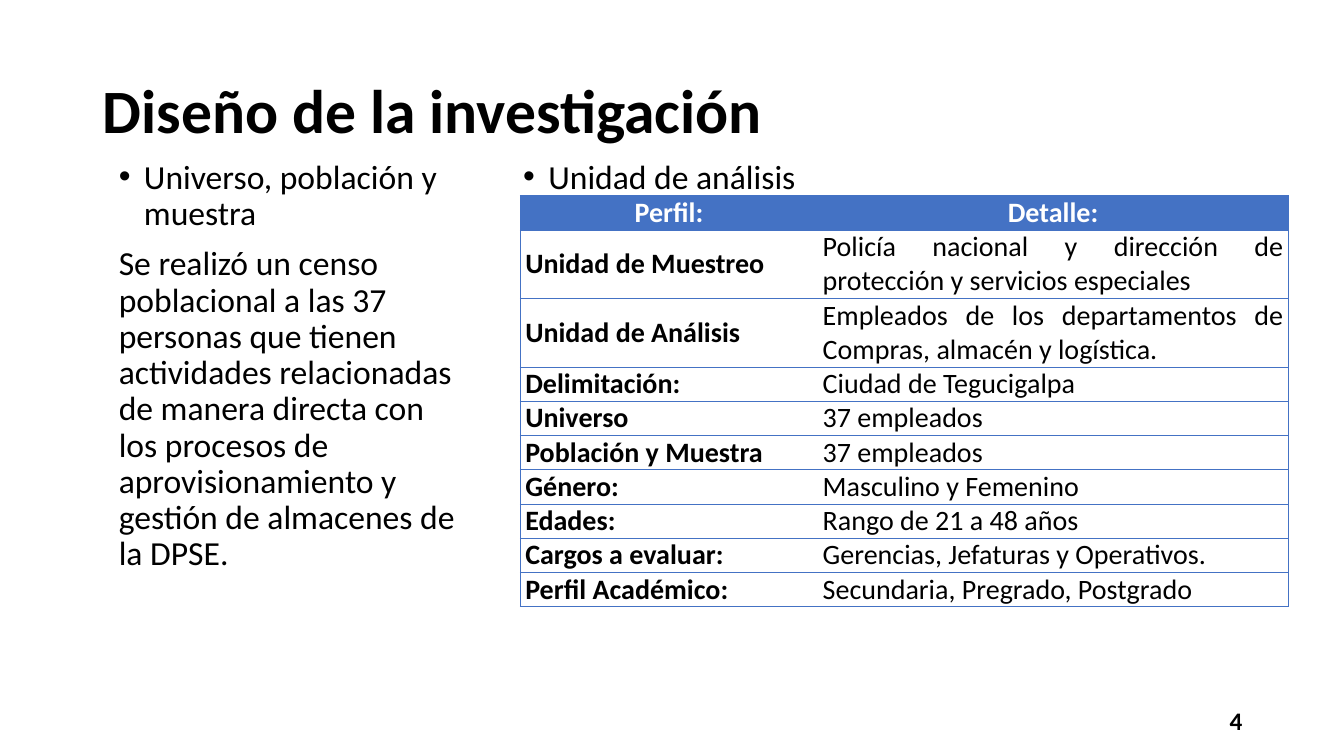
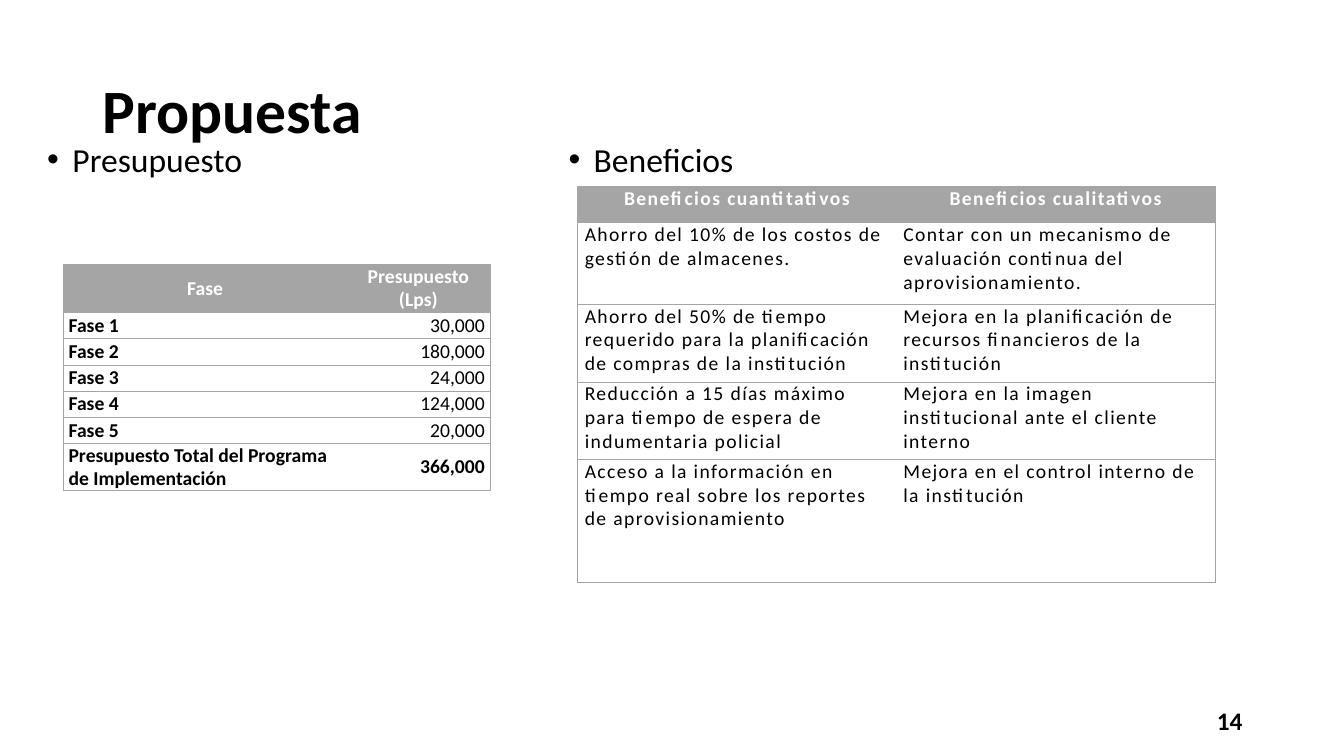
import pptx
import pptx.util
import pptx.dml.color
import pptx.enum.text
import pptx.oxml.ns
import lxml.etree

PX = 9144
FONT = "Calibri"
BLACK = pptx.dml.color.RGBColor(0x00, 0x00, 0x00)
WHITE = pptx.dml.color.RGBColor(0xFF, 0xFF, 0xFF)
BLUE = pptx.dml.color.RGBColor(0x44, 0x72, 0xC4)
GRAY = pptx.dml.color.RGBColor(0xA5, 0xA5, 0xA5)
ALIGN = pptx.enum.text.PP_ALIGN
ANCHOR = pptx.enum.text.MSO_ANCHOR

PROFILE = [
    ("Perfil:", "Detalle:"),
    ("Unidad de Muestreo", "Policía nacional y dirección de protección y servicios especiales"),
    ("Unidad de Análisis", "Empleados de los departamentos de Compras, almacén y logística."),
    ("Delimitación:", "Ciudad de Tegucigalpa"),
    ("Universo", "37 empleados"),
    ("Población y Muestra", "37 empleados"),
    ("Género:", "Masculino y Femenino"),
    ("Edades:", "Rango de 21 a 48 años"),
    ("Cargos a evaluar:", "Gerencias, Jefaturas y Operativos."),
    ("Perfil Académico:", "Secundaria, Pregrado, Postgrado"),
]
BUDGET = [
    ("Fase", "Presupuesto (Lps)"),
    ("Fase 1", "30,000"),
    ("Fase 2", "180,000"),
    ("Fase 3", "24,000"),
    ("Fase 4", "124,000"),
    ("Fase 5", "20,000"),
    ("Presupuesto Total del Programa de Implementación", "366,000"),
]
BENEFITS = [
    ("Beneficios cuantitativos", "Beneficios cualitativos"),
    ("Ahorro del 10% de los costos de gestión de almacenes.",
     "Contar con un mecanismo de evaluación continua del aprovisionamiento."),
    ("Ahorro del 50% de tiempo requerido para la planificación de compras de la institución",
     "Mejora en la planificación de recursos financieros de la institución"),
    ("Reducción a 15 días máximo para tiempo de espera de indumentaria policial",
     "Mejora en la imagen institucional ante el cliente interno"),
    ("Acceso a la información en tiempo real sobre los reportes de aprovisionamiento",
     "Mejora en el control interno de la institución"),
]


def emu(*lengths):
    """Turn px lengths into a list of EMU."""
    return [pptx.util.Emu(n * PX) for n in lengths]


def sub(parent, tag, **attrs):
    """Append a DrawingML child element and return it."""
    return lxml.etree.SubElement(parent, pptx.oxml.ns.qn(tag), **attrs)


def add_text(tf, text, size=24, color=BLACK, bold=False, align=ALIGN.LEFT,
             line=None, before=0, bullet=False, tracking=0):
    """Write one formatted paragraph, filling the first one if it is free."""
    p = tf.paragraphs[0] if not tf.text else tf.add_paragraph()
    p.alignment = align
    p.space_before = pptx.util.Pt(before)
    if line:
        p.line_spacing = line
    if bullet:
        pPr = p._p.get_or_add_pPr()
        indent = 25 * PX
        pPr.set("marL", str(indent))
        pPr.set("indent", str(-indent))
        sub(pPr, "a:buFont", typeface="Arial")
        sub(pPr, "a:buChar", char="•")
    r = p.add_run()
    r.text = text
    r.font.name = FONT
    r.font.size = pptx.util.Pt(size)
    r.font.bold = bold
    r.font.color.rgb = color
    if tracking:
        r._r.get_or_add_rPr().set("spc", str(tracking * 100))


def add_box(s, box, anchor=ANCHOR.TOP):
    """Add a wrapping text box and return its text frame."""
    tf = s.shapes.add_textbox(*emu(*box)).text_frame
    tf.word_wrap = True
    tf.vertical_anchor = anchor
    return tf


def add_body(s, box, heading, text=None):
    """Add a bulleted heading with an optional plain paragraph below."""
    tf = add_box(s, box)
    add_text(tf, heading, line=0.9, before=10, bullet=True)
    if text:
        add_text(tf, text, line=0.9, before=10)


def set_borders(cell, color, left, right):
    """Draw the horizontal cell borders and the chosen vertical ones."""
    tcPr = cell._tc.get_or_add_tcPr()
    sides = [("a:lnL", left), ("a:lnR", right), ("a:lnT", True), ("a:lnB", True)]
    for i, (tag, shown) in enumerate(sides):
        ln = sub(tcPr, tag, w=str(pptx.util.Pt(0.5)))
        if shown:
            sub(sub(ln, "a:solidFill"), "a:srgbClr", val=str(color))
        else:
            sub(ln, "a:noFill")
        tcPr.insert(i, ln)


def add_grid(s, left, top, cols, heights, rows, color, size, aligns,
             anchor=ANCHOR.MIDDLE, inset=5, bold_labels=True, total=False, tracking=0):
    """Add a two-column table with a coloured header row."""
    frame = s.shapes.add_table(len(rows), len(cols),
                               *emu(left, top, sum(cols), sum(heights)))
    table = frame.table
    table.first_row = table.horz_banding = False
    for col, width in zip(table.columns, emu(*cols)):
        col.width = width
    for row, height in zip(table.rows, emu(*heights)):
        row.height = height
    for i, texts in enumerate(rows):
        header = i == 0
        last = total and i == len(rows) - 1
        for j, text in enumerate(texts):
            cell = table.cell(i, j)
            cell.margin_left, cell.margin_right = emu(inset, inset)
            cell.margin_top = cell.margin_bottom = 0
            cell.vertical_anchor = anchor
            if header:
                cell.fill.solid()
                cell.fill.fore_color.rgb = color
            else:
                cell.fill.background()
            set_borders(cell, color, j == 0, j == len(cols) - 1)
            add_text(cell.text_frame, text, size=size,
                     color=WHITE if header else BLACK,
                     bold=header or last or (bold_labels and j == 0),
                     align=ALIGN.CENTER if header else aligns[j],
                     tracking=tracking)


def add_slide(prs, title, number):
    """Add a slide with the shared title and slide number."""
    s = prs.slides.add_slide(prs.slide_layouts[5])
    sp = s.shapes.title
    sp.left, sp.top, sp.width, sp.height = emu(92, 40, 1150, 145)
    tf = sp.text_frame
    tf.word_wrap = True
    tf.vertical_anchor = ANCHOR.MIDDLE
    add_text(tf, title, size=44, bold=True, line=0.9)
    add_text(add_box(s, (942, 695, 300, 40), ANCHOR.MIDDLE), number,
             size=18, bold=True, align=ALIGN.RIGHT)
    return s


def research_slide(prs):
    """Build the research design slide."""
    s = add_slide(prs, "Diseño de la investigación", "4")
    add_body(s, (108, 154, 366, 476), "Universo, población y muestra",
             "Se realizó un censo poblacional a las 37 personas que tienen "
             "actividades relacionadas de manera directa con los procesos de "
             "aprovisionamiento y gestión de almacenes de la DPSE.")
    add_body(s, (509, 154, 543, 476), "Unidad de análisis")
    add_grid(s, 516, 194, [295, 467], [34, 68, 68] + [34] * 7, PROFILE, BLUE, 20,
             [ALIGN.JUSTIFY, ALIGN.JUSTIFY])


def proposal_slide(prs):
    """Build the proposal slide with its budget and benefits."""
    s = add_slide(prs, "Propuesta", "14")
    add_body(s, (37, 137, 318, 476), "Presupuesto")
    add_grid(s, 63, 262, [281, 142], [48] + [26] * 5 + [47], BUDGET, GRAY, 14,
             [ALIGN.LEFT, ALIGN.RIGHT], total=True)
    add_body(s, (554, 137, 318, 476), "Beneficios")
    add_grid(s, 573, 185, [316, 316], [36, 81, 77, 77, 122], BENEFITS, GRAY, 14,
             [ALIGN.LEFT, ALIGN.LEFT], anchor=ANCHOR.TOP, inset=7,
             bold_labels=False, tracking=1)


def main():
    """Build and save the presentation."""
    prs = pptx.Presentation()
    prs.slide_width, prs.slide_height = emu(1333, 750)
    research_slide(prs)
    proposal_slide(prs)
    prs.save("out.pptx")


if __name__ == "__main__":
    main()
